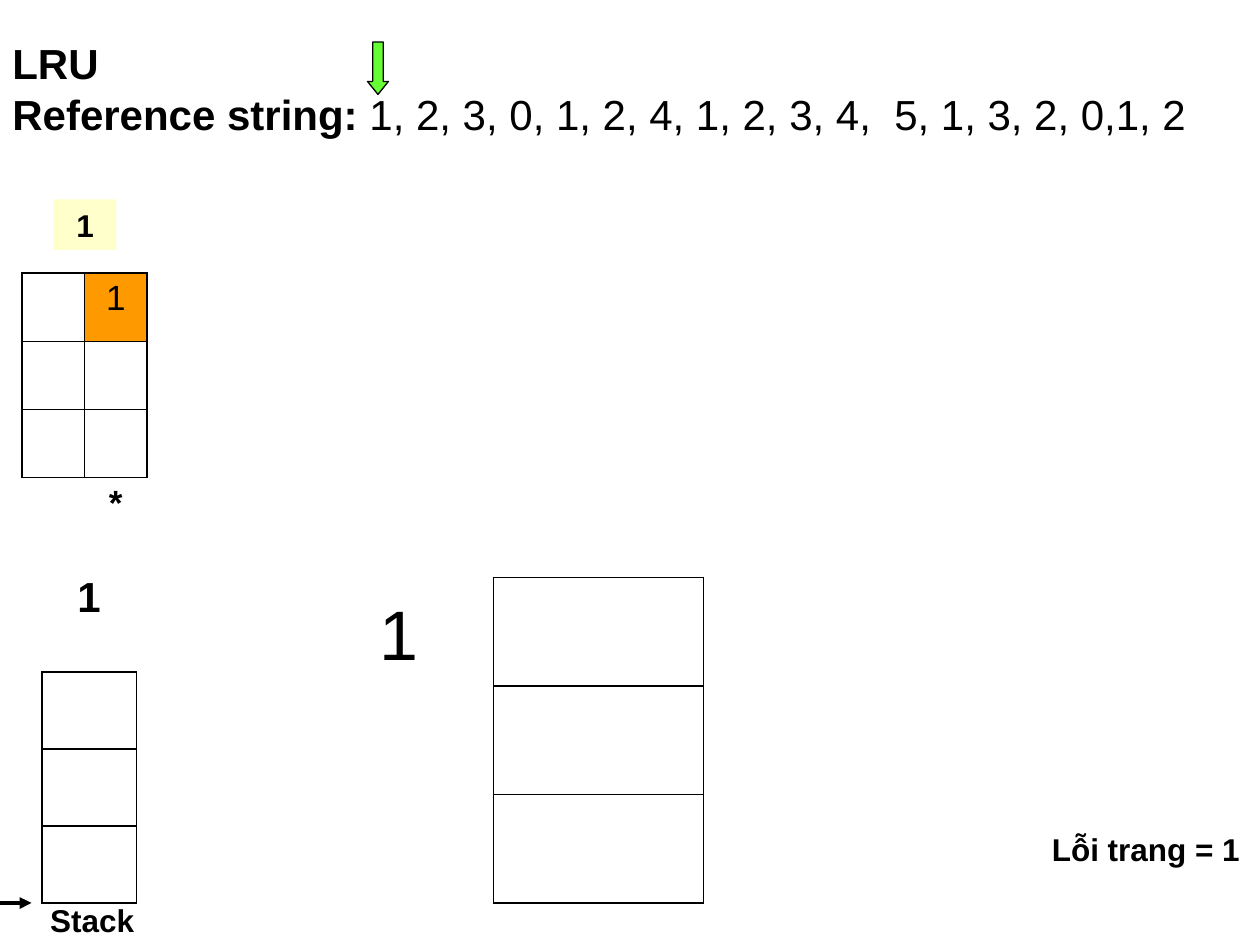
from lxml import etree
from pptx import Presentation
from pptx.dml.color import RGBColor
from pptx.enum.shapes import MSO_CONNECTOR as LINE, MSO_SHAPE as SHAPE
from pptx.enum.text import MSO_AUTO_SIZE as AUTO, PP_ALIGN as ALIGN
from pptx.oxml import parse_xml
from pptx.oxml.ns import nsdecls, qn
from pptx.util import Inches, Pt

COLORS = {"ink": "000000", "page": "FFFFCC", "newest": "FF9900", "pointer": "66FF33"}
FONT = "Arial"
UNIT = Inches(10) / 120  # the slide is a grid of 120 columns and 90 rows
THICK, THIN = 1.08, 0.45


def rgb(name):
    return RGBColor.from_string(COLORS[name])


def grid(*lengths):
    return [round(n * UNIT) for n in lengths]


def write(p, text, size, bold=False):
    r = p.add_run()
    r.text = text
    for key, value in {"name": FONT, "size": Pt(size), "bold": bold}.items():
        setattr(r.font, key, value)
    r.font.color.rgb = rgb("ink")


def add_label(s, box, lines, wrap=False):
    """Each line is a list of (text, size, bold) runs."""
    tf = s.shapes.add_textbox(*grid(*box)).text_frame
    tf.word_wrap = wrap
    tf.auto_size = AUTO.SHAPE_TO_FIT_TEXT
    for i, runs in enumerate(lines):
        p = tf.paragraphs[0] if i == 0 else tf.add_paragraph()
        for run in runs:
            write(p, *run)


def add_block(s, kind, box, fill):
    sp = s.shapes.add_shape(kind, *grid(*box))
    sp.shadow.inherit = False
    sp.fill.solid()
    sp.fill.fore_color.rgb = rgb(fill)
    return sp


def set_borders(cell, widths):
    """Widths run left, right, top, bottom; 0 hides a side."""
    tcPr = cell._tc.get_or_add_tcPr()
    for i, (side, width) in enumerate(zip(("lnL", "lnR", "lnT", "lnB"), widths)):
        ln = parse_xml(f'<a:{side} {nsdecls("a")} w="{Pt(width)}"/>')
        if width:
            fill = etree.SubElement(ln, qn("a:solidFill"))
            etree.SubElement(fill, qn("a:srgbClr"), val=COLORS["ink"])
        else:
            etree.SubElement(ln, qn("a:noFill"))
        tcPr.insert(i, ln)


def add_column(s, box, rows, inner=THICK, footer=False):
    """One-column table of frames; a footer is a last row without a frame."""
    table = s.shapes.add_table(rows, 1, *grid(*box)).table
    table.first_row = table.horz_banding = False
    frames = rows - footer
    for i in range(rows):
        table.rows[i].height = grid(box[3] / rows)[0]
        cell = table.cell(i, 0)
        cell.fill.background()
        if i < frames:
            top = THICK if i == 0 else inner
            bottom = THICK if i == frames - 1 else inner
            set_borders(cell, (THICK, THICK, top, bottom))
        else:
            set_borders(cell, (0, 0, THICK, 0))
    return table


def fill_cell(cell, text, bold=False):
    p = cell.text_frame.paragraphs[0]
    p.alignment, p.space_before = ALIGN.CENTER, Pt(5)
    write(p, text, 20, bold)


def add_heading(s, x, y, w, h):
    add_label(s, (x, y, w, h), [
        [("LRU", 24, True)],
        [("Reference string:", 24, True),
         (" 1, 2, 3, 0, 1, 2, 4, 1, 2, 3, 4,  5, 1, 3, 2, 0,1, 2", 24)],
    ], wrap=True)
    pointer = add_block(s, SHAPE.DOWN_ARROW, (x + 35, y + 1, 2, 5), "pointer")
    pointer.adjustments[0], pointer.adjustments[1] = 0.5, 0.62
    pointer.line.color.rgb = rgb("ink")
    pointer.line.width = Pt(0.75)


def add_history(s, x, y, w, h):
    """Current page above the frames before and after it is loaded."""
    page = add_block(s, SHAPE.RECTANGLE, (x + 3, y, 6, 4.8), "page")
    page.line.fill.background()
    p = page.text_frame.paragraphs[0]
    p.alignment, p.space_before = ALIGN.CENTER, Pt(11.2)
    write(p, "1", 18, True)

    col, top = w / 2, y + 7
    before, after = (add_column(s, (x + i * col, top, col, h - 7), 4, THIN, footer=True)
                     for i in range(2))
    newest = after.cell(0, 0)
    newest.fill.solid()
    newest.fill.fore_color.rgb = rgb("newest")
    fill_cell(newest, "1")
    fill_cell(after.cell(3, 0), "*", True)


def add_stack(s, x, y, w, h):
    add_column(s, (x, y, w, h), 3)
    add_label(s, (x + 2.2, y - 10.3, 4.8, 6), [[("1", 24, True)]])
    add_label(s, (x - 0.4, y + h - 0.8, 11, 4.8), [[("Stack", 18, True)]])
    arrow = s.shapes.add_connector(LINE.STRAIGHT, *grid(x - 4, y + h, x - 1, y + h))
    arrow.line.color.rgb = rgb("ink")
    arrow.line.width = Pt(2.25)
    etree.SubElement(arrow.line._get_or_add_ln(), qn("a:tailEnd"), type="triangle")
    etree.SubElement(arrow._element.spPr, qn("a:effectLst"))


def add_memory(s, x, y, w, h):
    add_column(s, (x, y, w, h), 3)
    add_label(s, (x - 12, y + 0.6, 6.3, 9.2), [[("1", 40)]])


def main():
    prs = Presentation()
    prs.slide_width, prs.slide_height = Inches(10), Inches(7.5)
    s = prs.slides.add_slide(prs.slide_layouts[6])
    add_heading(s, 0, 3, 120, 10.8)
    add_history(s, 2.1, 19, 11.9, 33)
    add_stack(s, 4, 64, 9, 22)
    add_memory(s, 47, 55, 20, 31)
    add_label(s, (99, 78.5, 20.6, 4.8), [[("Lỗi trang = 1", 18, True)]])
    prs.save("out.pptx")


if __name__ == "__main__":
    main()
